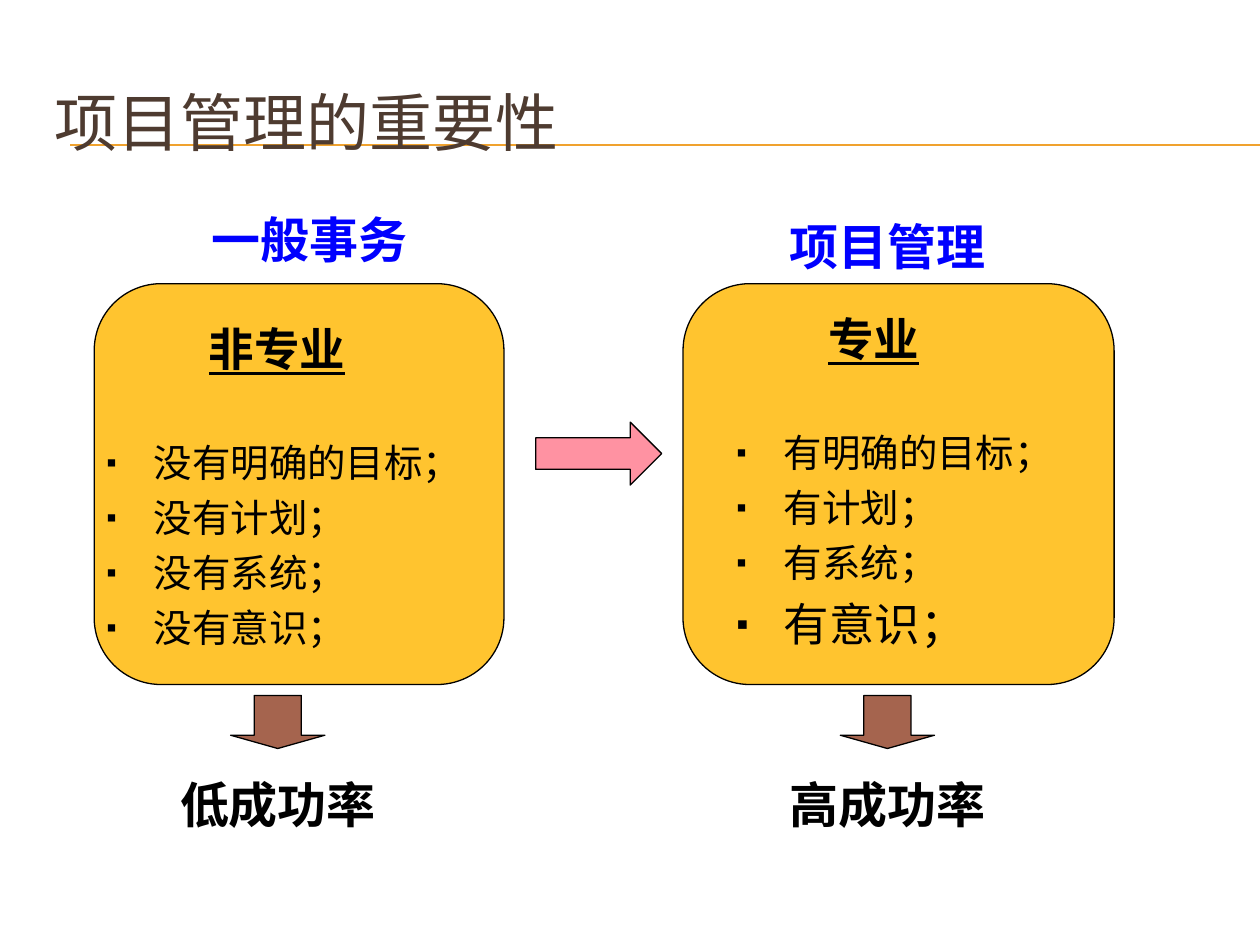
from dataclasses import dataclass

from lxml.etree import SubElement
from pptx import Presentation
from pptx.dml.color import RGBColor
from pptx.enum.shapes import MSO_CONNECTOR, MSO_SHAPE
from pptx.enum.text import MSO_ANCHOR, MSO_AUTO_SIZE, PP_ALIGN
from pptx.oxml.ns import qn
from pptx.util import Cm, Pt


@dataclass(frozen=True)
class Theme:
    sans: str = "Roboto"
    serif: str = "Times New Roman"
    black: str = "000000"
    title_brown: str = "4E3B30"
    rule_orange: str = "F0A22E"
    panel_yellow: str = "FFC42F"
    arrow_pink: str = "FF92A2"
    arrow_brown: str = "A5644E"
    caption_blue: str = "0000FF"
    title_size: float = 36
    label_size: float = 28
    heading_size: float = 26
    point_size: float = 22
    line_width: float = 0.75


THEME = Theme()


@dataclass(frozen=True)
class Area:
    """A rectangle in centimetres."""
    left: float
    top: float
    width: float
    height: float

    def lengths(self) -> tuple:
        return Cm(self.left), Cm(self.top), Cm(self.width), Cm(self.height)


@dataclass(frozen=True)
class Column:
    caption: str
    caption_area: Area
    panel_area: Area
    body_area: Area
    heading: str
    heading_indent: float
    points: tuple[str, ...]
    point_sizes: tuple[float, ...]
    arrow_left: float
    outcome: str
    outcome_left: float


SMALL, LARGE = THEME.point_size, THEME.heading_size
COLUMNS = (
    Column("一般事务", Area(4.01, 4.09, 4.47, 1.45), Area(1.9, 5.72, 8.26, 8.08),
           Area(1.9, 6.35, 10.59, 8.31), "非专业", 2.06,
           ("没有明确的目标；", "没有计划；", "没有系统；", "没有意识；"),
           (SMALL, SMALL, SMALL, SMALL), 4.65, "低成功率", 3.38),
    Column("项目管理", Area(15.67, 4.24, 4.47, 1.45), Area(13.77, 5.72, 8.69, 8.08),
           Area(14.6, 6.15, 8.31, 8.51), "专业", 1.85,
           ("有明确的目标；", "有计划；", "有系统；", "有意识；"),
           (SMALL, SMALL, SMALL, LARGE), 16.94, "高成功率", 15.67),
)


def style_font(font, size: float, color: str, name: str = THEME.sans, bold: bool = False) -> None:
    font.name, font.size, font.bold = name, Pt(size), bold
    font.color.rgb = RGBColor.from_string(color)


def add_rule(page, top: float) -> None:
    """Draw a title rule behind everything else."""
    rule = page.shapes.add_connector(MSO_CONNECTOR.STRAIGHT, Cm(1.42), Cm(top), Cm(25.4), Cm(top))
    rule.line.color.rgb = RGBColor.from_string(THEME.rule_orange)
    rule.line.width = Pt(THEME.line_width)
    SubElement(rule.element.spPr, qn("a:effectLst"))
    page.shapes.element.insert(2, rule.element)


def set_title(page, text: str) -> None:
    title = page.shapes.title
    title.left, title.top, title.width, title.height = Area(0.84, 1.27, 24.13, 2.34).lengths()
    frame = title.text_frame
    frame.text = text
    frame.vertical_anchor = MSO_ANCHOR.MIDDLE
    frame.auto_size = MSO_AUTO_SIZE.NONE
    para = frame.paragraphs[0]
    para.alignment = PP_ALIGN.LEFT
    style_font(para.runs[0].font, THEME.title_size, THEME.title_brown)


def add_block(page, kind: MSO_SHAPE, area: Area, fill: str):
    block = page.shapes.add_shape(kind, *area.lengths())
    block.shadow.inherit = False
    block.fill.solid()
    block.fill.fore_color.rgb = RGBColor.from_string(fill)
    block.line.color.rgb = RGBColor.from_string(THEME.black)
    block.line.width = Pt(THEME.line_width)
    return block


def add_label(page, area: Area, text: str, color: str, name: str, wrap: bool) -> None:
    box = page.shapes.add_textbox(*area.lengths())
    frame = box.text_frame
    frame.text = text
    frame.word_wrap = wrap
    frame.auto_size = MSO_AUTO_SIZE.SHAPE_TO_FIT_TEXT
    style_font(frame.paragraphs[0].runs[0].font, THEME.label_size, color, name, bold=True)


def add_bullet(para) -> None:
    properties = para._p.get_or_add_pPr()
    properties.set("marL", str(Cm(0.95)))
    properties.set("indent", str(Cm(-0.95)))
    color = SubElement(properties, qn("a:buClr"))
    SubElement(color, qn("a:srgbClr"), val=THEME.black)
    SubElement(properties, qn("a:buSzPct"), val="65000")
    SubElement(properties, qn("a:buFont"), typeface=THEME.sans)
    SubElement(properties, qn("a:buChar"), char="▪")


def add_body(page, column: Column) -> None:
    frame = page.shapes.add_textbox(*column.body_area.lengths()).text_frame
    frame.word_wrap = True
    heading = frame.paragraphs[0]
    heading.text = column.heading
    heading._p.get_or_add_pPr().set("marL", str(Cm(column.heading_indent)))
    font = heading.runs[0].font
    style_font(font, THEME.heading_size, THEME.black, bold=True)
    font.underline = True
    for index, (text, size) in enumerate(zip(column.points, column.point_sizes)):
        para = frame.add_paragraph()
        para.text = text
        para.space_before = Pt(36 if index == 0 else round(size * 0.234, 1))
        add_bullet(para)
        style_font(para.runs[0].font, size, THEME.black)


def add_column(page, column: Column) -> None:
    add_block(page, MSO_SHAPE.FLOWCHART_ALTERNATE_PROCESS, column.panel_area, THEME.panel_yellow)
    add_body(page, column)
    arrow = add_block(page, MSO_SHAPE.DOWN_ARROW, Area(column.arrow_left, 14.02, 1.9, 1.07),
                      THEME.arrow_brown)
    arrow.adjustments[0], arrow.adjustments[1] = 0.5, 0.25
    add_label(page, Area(column.outcome_left, 15.49, 6.35, 1.45), column.outcome,
              THEME.black, THEME.serif, wrap=True)
    add_label(page, column.caption_area, column.caption, THEME.caption_blue, THEME.sans, wrap=False)


def main() -> None:
    deck = Presentation()
    deck.slide_width, deck.slide_height = Cm(25.4), Cm(19.05)
    page = deck.slides.add_slide(deck.slide_layouts[5])
    set_title(page, "项目管理的重要性")
    for top in (2.92, 2.94):
        add_rule(page, top)
    for column in COLUMNS:
        add_column(page, column)
    add_block(page, MSO_SHAPE.RIGHT_ARROW, Area(10.8, 8.51, 2.54, 1.27), THEME.arrow_pink)
    deck.save("out.pptx")


if __name__ == "__main__":
    main()
